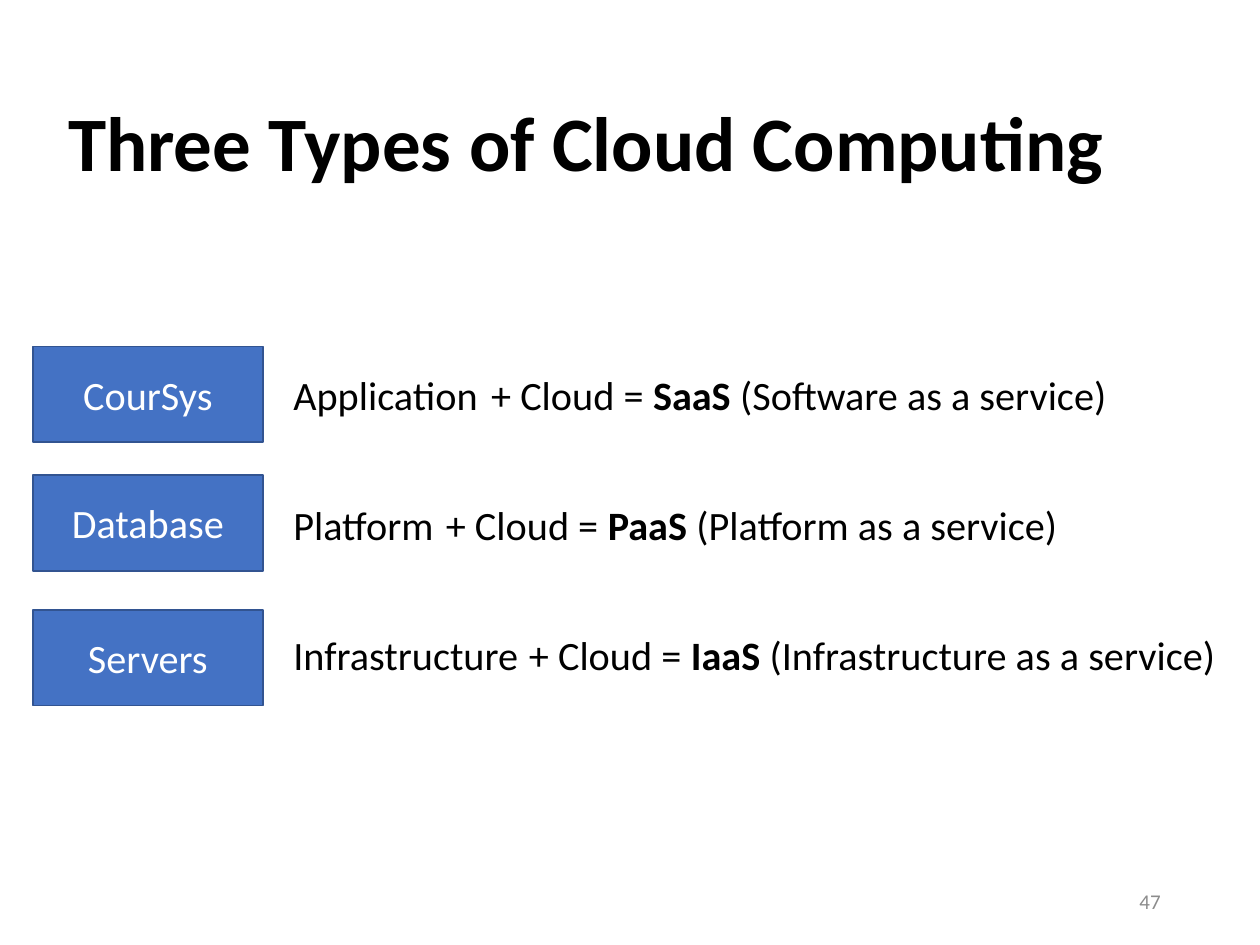
from dataclasses import dataclass

from pptx import Presentation
from pptx.dml.color import RGBColor
from pptx.enum.shapes import MSO_SHAPE
from pptx.enum.text import MSO_ANCHOR, PP_ALIGN
from pptx.util import Inches, Pt

RECT = MSO_SHAPE.RECTANGLE
TOP, MIDDLE = MSO_ANCHOR.TOP, MSO_ANCHOR.MIDDLE
LEFT, CENTER, RIGHT = PP_ALIGN.LEFT, PP_ALIGN.CENTER, PP_ALIGN.RIGHT
FONT = "Calibri"
COLORS = {
    "text": "000000",
    "label": "FFFFFF",
    "fill": "4472C4",
    "edge": "325491",
    "number": "8C8C8C",
}
BOX_X, BOX_W, BOX_H = 0.26, 1.83, 0.76
NAME_X, TEXT_H = 2.23, 0.5


@dataclass
class Service:
    label: str
    layer: str
    short: str
    box_y: float
    text_y: float
    layer_w: float
    sum_x: float
    sum_w: float


SERVICES = [
    Service("CourSys", "Application", "SaaS", 2.75, 2.89, 1.75, 3.8, 5.14),
    Service("Database", "Platform", "PaaS", 3.77, 3.92, 1.33, 3.44, 5.11),
    Service("Servers", "Infrastructure", "IaaS", 4.84, 4.95, 2, 4.1, 5.7),
]
MEANINGS = {
    "SaaS": "Software as a service",
    "PaaS": "Platform as a service",
    "IaaS": "Infrastructure as a service",
}


def color(name: str) -> RGBColor:
    return RGBColor.from_string(COLORS[name])


def write(shape, *parts: str, size: float = 23, tint: str = "text",
          bold: tuple = (), align=LEFT, anchor=TOP, wrap: bool = True,
          spacing: float = 1.0) -> None:
    frame = shape.text_frame
    frame.word_wrap = wrap
    frame.vertical_anchor = anchor
    para = frame.paragraphs[0]
    para.alignment = align
    para.line_spacing = spacing
    for part in parts:
        run = para.add_run()
        run.text = part
        run.font.name = FONT
        run.font.size = Pt(size)
        run.font.bold = part in bold
        run.font.color.rgb = color(tint)


def add_text(slide, x: float, y: float, w: float, h: float,
             *parts: str, **style) -> None:
    box = slide.shapes.add_textbox(Inches(x), Inches(y), Inches(w), Inches(h))
    write(box, *parts, **style)


def add_title(slide, text: str) -> None:
    title = slide.shapes.title
    title.left, title.top = Inches(0.44), Inches(0.57)
    title.width, title.height = Inches(9.12), Inches(1.19)
    write(title, text, size=44, bold=(text,), anchor=MIDDLE, spacing=0.9)


def add_box(slide, item: Service) -> None:
    box = slide.shapes.add_shape(RECT, Inches(BOX_X), Inches(item.box_y),
                                 Inches(BOX_W), Inches(BOX_H))
    box.shadow.inherit = False
    box.fill.solid()
    box.fill.fore_color.rgb = color("fill")
    box.line.color.rgb = color("edge")
    box.line.width = Pt(1)
    write(box, item.label, tint="label", align=CENTER, anchor=MIDDLE)


def add_service(slide, item: Service) -> None:
    add_box(slide, item)
    add_text(slide, NAME_X, item.text_y, item.layer_w, TEXT_H,
             item.layer, wrap=False)
    short = f"{item.short} "
    add_text(slide, item.sum_x, item.text_y, item.sum_w, TEXT_H,
             "+ Cloud = ", short, f"({MEANINGS[item.short]})",
             bold=(short,), wrap=False)


def main() -> None:
    deck = Presentation()
    deck.slide_width, deck.slide_height = Inches(10), Inches(7.5)
    slide = deck.slides.add_slide(deck.slide_layouts[5])
    add_title(slide, "Three Types of Cloud Computing")
    for item in SERVICES:
        add_service(slide, item)
    add_text(slide, 7.06, 6.95, 2.25, 0.4, "47", size=12, tint="number",
             align=RIGHT, anchor=MIDDLE)
    deck.save("out.pptx")


if __name__ == "__main__":
    main()
